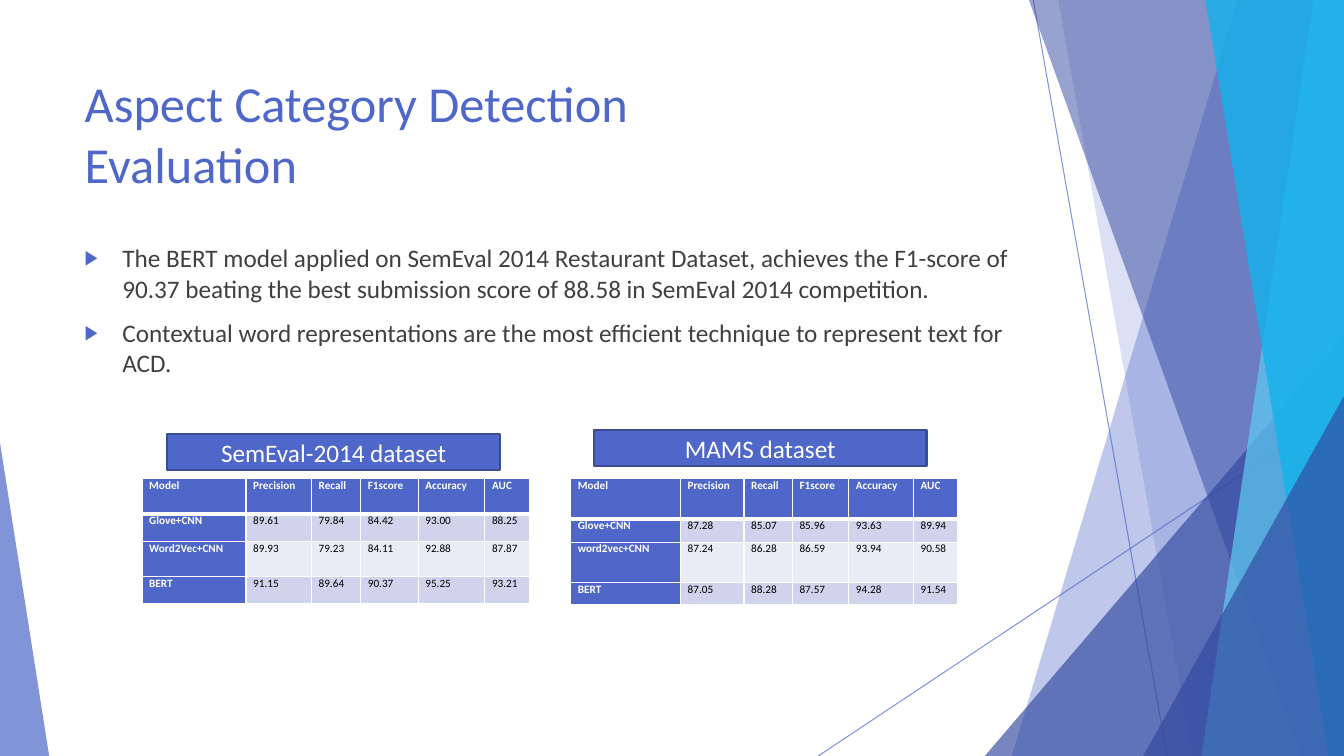
from dataclasses import dataclass

from lxml.etree import SubElement
from pptx import Presentation
from pptx.dml.color import RGBColor
from pptx.enum.shapes import MSO_CONNECTOR, MSO_SHAPE
from pptx.enum.text import MSO_ANCHOR, MSO_AUTO_SIZE, PP_ALIGN
from pptx.oxml.ns import qn
from pptx.util import Cm, Pt

WIDTH, HEIGHT = 33.87, 19.05
TITLE_LINES = ["Aspect Category Detection", "Evaluation"]
BULLETS = [
    "The BERT model applied on SemEval 2014 Restaurant Dataset, achieves the F1-score of "
    "90.37 beating the best submission score of 88.58 in SemEval 2014 competition.",
    "Contextual word representations are the most efficient technique to represent text for ACD.",
]
HEADER = ["Model", "Precision", "Recall", "F1score", "Accuracy", "AUC"]
DATASETS = [
    {
        "label": "SemEval-2014 dataset",
        "label_at": (4.22, 10.94),
        "table_left": 3.58,
        "columns": [2.62, 1.65, 1.24, 1.45, 1.68, 1.12],
        "rows": [0.89, 0.69, 0.89, 0.69],
        "scores": [
            ["Glove+CNN", "89.61", "79.84", "84.42", "93.00", "88.25"],
            ["Word2Vec+CNN", "89.93", "79.23", "84.11", "92.88", "87.87"],
            ["BERT", "91.15", "89.64", "90.37", "95.25", "93.21"],
        ],
    },
    {
        "label": "MAMS dataset",
        "label_at": (14.97, 10.84),
        "table_left": 14.38,
        "columns": [2.77, 1.6, 1.22, 1.42, 1.63, 1.12],
        "rows": [1.02, 0.58, 1.02, 0.56],
        "scores": [
            ["Glove+CNN", "87.28", "85.07", "85.96", "93.63", "89.94"],
            ["word2vec+CNN", "87.24", "86.28", "86.59", "93.94", "90.58"],
            ["BERT", "87.05", "88.28", "87.57", "94.28", "91.54"],
        ],
    },
]
TABLE_TOP = 12.06
LABEL_SIZE = (8.38, 0.9)


@dataclass(frozen=True)
class Theme:
    font: str = "Calibri"
    blue: str = "4E67C8"
    navy: str = "31489F"
    sky: str = "5ECCF3"
    cyan: str = "12B2EB"
    outline: str = "3A4C94"
    text: str = "404040"
    black: str = "000000"
    white: str = "FFFFFF"
    odd_row: str = "D0D3EB"
    even_row: str = "E9EBF5"
    title_size: int = 36
    body_size: int = 18
    table_size: int = 8


THEME = Theme()
RAYS = [(26.04, 0, 29.41, HEIGHT), (WIDTH, 10.24, 20.62, HEIGHT)]
FACETS = [
    ("band", (31.19, 25.5), THEME.blue, 36),
    ("band", (26.67, 30.05), THEME.blue, 20),
    ("triangle", (24.82, 8.46, 9.05, 1), THEME.navy, 66),
    ("band", (25.93, 32.79), THEME.navy, 50),
    ("band", (33.1, 30.28), THEME.sky, 70),
    ("band", (30.38, 33.48), THEME.cyan, 80),
    ("triangle", (28.81, 9.98, 5.06, 1), THEME.navy, 66),
    ("triangle", (0, 11.15, 1.24, 0), THEME.blue, 70),
]


def color(value):
    return RGBColor.from_string(value)


def set_font(paragraph, size, value, bold=False):
    font = paragraph.font
    font.name, font.size, font.bold = THEME.font, Pt(size), bold
    font.color.rgb = color(value)


def set_alpha(element, percent):
    for fill_color in element.iter(qn("a:srgbClr")):
        SubElement(fill_color, qn("a:alpha"), val=str(percent * 1000))


def add_ray(shapes, ends):
    ray = shapes.add_connector(MSO_CONNECTOR.STRAIGHT, *map(Cm, ends))
    ray.line.color.rgb = color(THEME.blue)
    ray.line.width = Pt(0.75)
    properties = ray._element.spPr
    set_alpha(properties, 70)
    SubElement(properties, qn("a:effectLst"))


def add_facet(shapes, kind, geometry, fill, opacity):
    if kind == "band":
        top_left, bottom_left = geometry
        outline = shapes.build_freeform(Cm(top_left), 0)
        corners = [(WIDTH, 0), (WIDTH, HEIGHT), (bottom_left, HEIGHT)]
        outline.add_line_segments([(Cm(x), Cm(y)) for x, y in corners], close=True)
        facet = outline.convert_to_shape()
    else:
        left, top, width, apex = geometry
        facet = shapes.add_shape(
            MSO_SHAPE.ISOSCELES_TRIANGLE, Cm(left), Cm(top), Cm(width), Cm(HEIGHT - top)
        )
        facet.adjustments[0] = apex
    facet.shadow.inherit = False
    facet.fill.solid()
    facet.fill.fore_color.rgb = color(fill)
    facet.line.fill.background()
    set_alpha(facet._element.spPr, opacity)


def add_backdrop(slide):
    group = slide.shapes.add_group_shape()
    for ends in RAYS:
        add_ray(group.shapes, ends)
    for facet in FACETS:
        add_facet(group.shapes, *facet)
    slide.shapes.title._element.addprevious(group._element)


def place_placeholder(placeholder, left, top, width, height):
    placeholder.left, placeholder.top = Cm(left), Cm(top)
    placeholder.width, placeholder.height = Cm(width), Cm(height)
    frame = placeholder.text_frame
    frame.word_wrap = True
    frame.auto_size = MSO_AUTO_SIZE.NONE
    frame.vertical_anchor = MSO_ANCHOR.TOP
    return frame


def fill_title(title):
    paragraph = place_placeholder(title, 1.88, 1.7, 23.88, 3.66).paragraphs[0]
    for index, line in enumerate(TITLE_LINES):
        if index:
            paragraph.add_line_break()
        paragraph.add_run().text = line
    paragraph.alignment = PP_ALIGN.LEFT
    set_font(paragraph, THEME.title_size, THEME.blue)


def fill_body(body):
    frame = place_placeholder(body, 1.88, 5.99, 23.88, 10.77)
    frame.text = "\n".join(BULLETS)
    for paragraph in frame.paragraphs:
        paragraph.space_before = Pt(10)
        set_font(paragraph, THEME.body_size, THEME.text)
        properties = paragraph._p.get_or_add_pPr()
        properties.set("marL", str(Cm(0.95)))
        properties.set("indent", str(-Cm(0.95)))
        bullet_color = SubElement(properties, qn("a:buClr"))
        SubElement(bullet_color, qn("a:srgbClr"), val=THEME.blue)
        SubElement(properties, qn("a:buSzPct"), val="80000")
        SubElement(properties, qn("a:buChar"), char="▶")
        properties.append(properties.find(qn("a:defRPr")))


def add_borders(cell, row):
    properties = cell._tc.get_or_add_tcPr()
    for side in "LRTB":
        thick = (row, side) in [(0, "B"), (1, "T")]
        border = SubElement(properties, qn(f"a:ln{side}"), w=str(Pt(3 if thick else 1)))
        SubElement(SubElement(border, qn("a:solidFill")), qn("a:srgbClr"), val=THEME.white)


def fill_cell(cell, text, row, column):
    heading = row == 0 or column == 0
    add_borders(cell, row)
    cell.margin_left = cell.margin_right = Cm(0.18)
    cell.margin_top = cell.margin_bottom = 0
    cell.fill.solid()
    band = THEME.odd_row if row % 2 else THEME.even_row
    cell.fill.fore_color.rgb = color(THEME.blue if heading else band)
    cell.text = text
    paragraph = cell.text_frame.paragraphs[0]
    paragraph.alignment = PP_ALIGN.JUSTIFY
    set_font(paragraph, THEME.table_size, THEME.white if heading else THEME.black, heading)


def add_dataset(shapes, dataset):
    columns, rows = dataset["columns"], dataset["rows"]
    table = shapes.add_table(
        len(rows), len(columns), Cm(dataset["table_left"]), Cm(TABLE_TOP),
        Cm(sum(columns)), Cm(sum(rows)),
    ).table
    for column, width in zip(table.columns, columns):
        column.width = Cm(width)
    for row, height in zip(table.rows, rows):
        row.height = Cm(height)
    for row, texts in enumerate([HEADER] + dataset["scores"]):
        for column, text in enumerate(texts):
            fill_cell(table.cell(row, column), text, row, column)

    label = shapes.add_shape(MSO_SHAPE.RECTANGLE, *map(Cm, dataset["label_at"] + LABEL_SIZE))
    label.shadow.inherit = False
    label.fill.solid()
    label.fill.fore_color.rgb = color(THEME.blue)
    label.line.color.rgb = color(THEME.outline)
    label.line.width = Pt(1.5)
    label.text_frame.text = dataset["label"]
    label.text_frame.vertical_anchor = MSO_ANCHOR.MIDDLE
    paragraph = label.text_frame.paragraphs[0]
    paragraph.alignment = PP_ALIGN.CENTER
    set_font(paragraph, THEME.body_size, THEME.white)


def main():
    """Build the aspect category detection evaluation slide."""
    presentation = Presentation()
    presentation.slide_width, presentation.slide_height = Cm(WIDTH), Cm(HEIGHT)
    slide = presentation.slides.add_slide(presentation.slide_layouts[1])
    add_backdrop(slide)
    fill_title(slide.shapes.title)
    fill_body(slide.placeholders[1])
    for dataset in DATASETS:
        add_dataset(slide.shapes, dataset)
    presentation.save("out.pptx")


if __name__ == "__main__":
    main()
